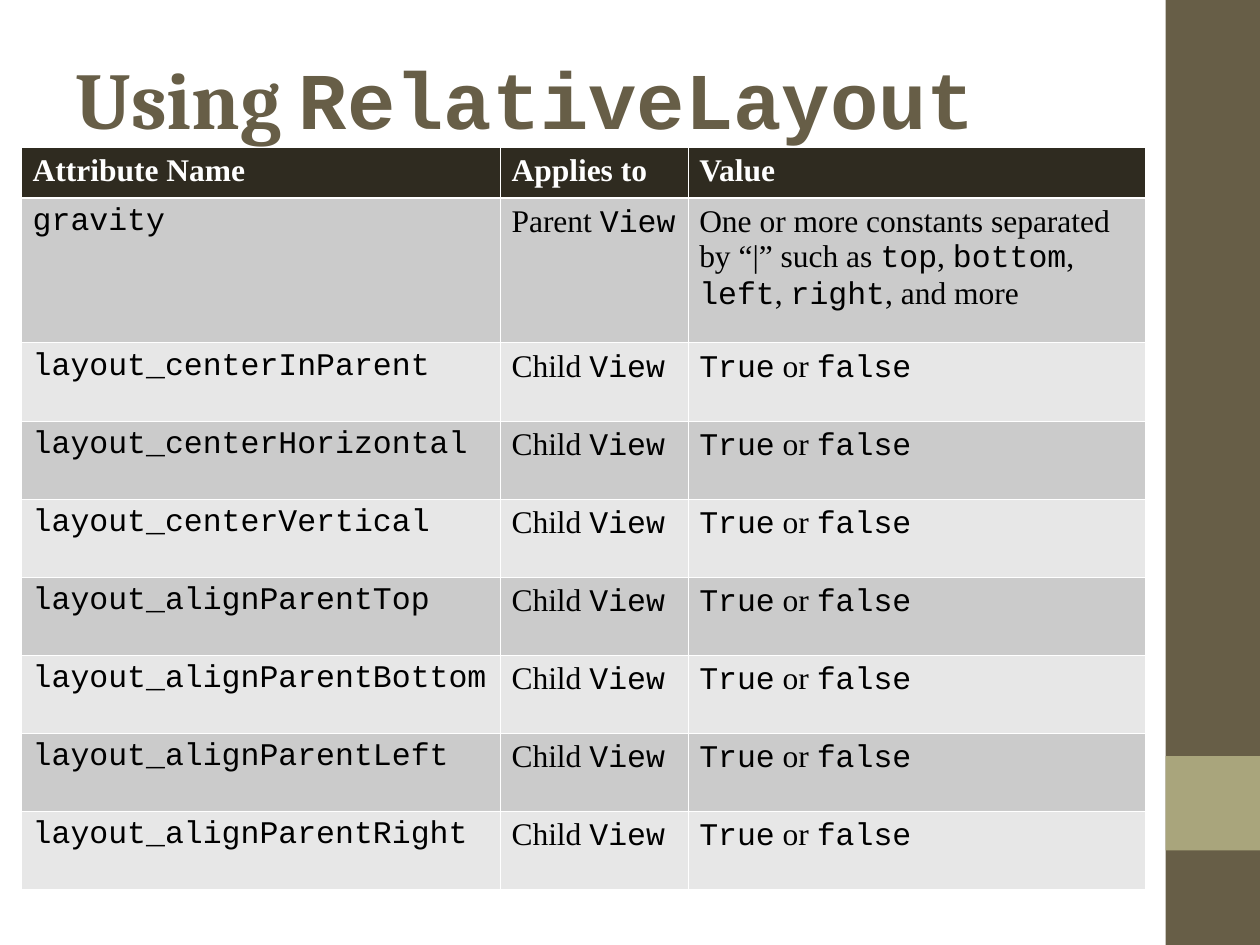
from lxml import etree
from pptx import Presentation
from pptx.dml.color import RGBColor
from pptx.enum.shapes import MSO_SHAPE
from pptx.enum.text import MSO_ANCHOR
from pptx.oxml.ns import qn
from pptx.util import Inches, Pt

RECT = MSO_SHAPE.RECTANGLE
MIDDLE = MSO_ANCHOR.MIDDLE
CODE = "Courier New"
HEX = {"brown": "675E47", "sage": "A9A57C", "head": "2F2B20", "dark": "CBCBCB",
       "light": "E7E7E7", "white": "FFFFFF", "black": "000000"}


def write(frame, text, font="Times New Roman", size=18, color="black", bold=False):
    """Fill a text frame; parts between backticks are set in the code font."""
    para = frame.paragraphs[0]
    for i, part in enumerate(text.split("`")):
        if part:
            run = para.add_run()
            run.text = part
            run.font.name = CODE if i % 2 else font
            run.font.size = Pt(size)
            run.font.bold = bold
            run.font.color.rgb = RGBColor.from_string(HEX[color])


def edge(cell, widths):
    """Draw white borders: left, right, top, bottom, in points."""
    props = cell._tc.get_or_add_tcPr()
    for i, (side, width) in enumerate(zip("LRTB", widths)):
        line = etree.Element(qn("a:ln" + side), w=str(Pt(width)))
        fill = etree.SubElement(line, qn("a:solidFill"))
        etree.SubElement(fill, qn("a:srgbClr"), val=HEX["white"])
        props.insert(i, line)


deck = Presentation()
deck.slide_width, deck.slide_height = Inches(10), Inches(7.5)
slide = deck.slides.add_slide(deck.slide_layouts[6])

# Side band
for top, height, color in [(0, 7.5, "brown"), (6, 0.75, "sage")]:
    band = slide.shapes.add_shape(RECT, Inches(9.25), Inches(top), Inches(0.75), Inches(height))
    band.shadow.inherit = False
    band.fill.solid()
    band.fill.fore_color.rgb = RGBColor.from_string(HEX[color])
    band.line.fill.background()

# Title
title = slide.shapes.add_textbox(Inches(0.5), Inches(0.3), Inches(9), Inches(0.95))
title.text_frame.word_wrap = True
title.text_frame.vertical_anchor = MIDDLE
write(title.text_frame, "Using `RelativeLayout`", font="Cambria", size=46,
      color="brown", bold=True)

# Table content
names = ["centerInParent", "centerHorizontal", "centerVertical", "alignParentTop",
         "alignParentBottom", "alignParentLeft", "alignParentRight"]
rows = [("Attribute Name", "Applies to", "Value"),
        ("`gravity`", "Parent `View`",
         "One or more constants separated by “|” such as "
         "`top`, `bottom`, `left`, `right`, and more")]
rows += [(f"`layout_{name}`", "Child `View`", "`True` or `false`") for name in names]
wide = [3.8, 1.49, 3.63]
tall = [0.4, 1.15] + [0.62] * len(names)

# Table
table = slide.shapes.add_table(len(rows), len(wide), Inches(0.17), Inches(1.17),
                               Inches(sum(wide)), Inches(sum(tall))).table
for col, width in zip(table.columns, wide):
    col.width = Inches(width)
for r, row in enumerate(rows):
    table.rows[r].height = Inches(tall[r])
    shade = "head" if r == 0 else "dark" if r % 2 else "light"
    for c, text in enumerate(row):
        cell = table.cell(r, c)
        cell.margin_left = cell.margin_right = Inches(0.09)
        cell.margin_top = cell.margin_bottom = Inches(0.05)
        cell.fill.solid()
        cell.fill.fore_color.rgb = RGBColor.from_string(HEX[shade])
        edge(cell, [0.45, 0.45, 1.47 if r == 1 else 0.45, 1.47 if r == 0 else 0.45])
        write(cell.text_frame, text, color="black" if r else "white", bold=r == 0)

deck.save("out.pptx")
